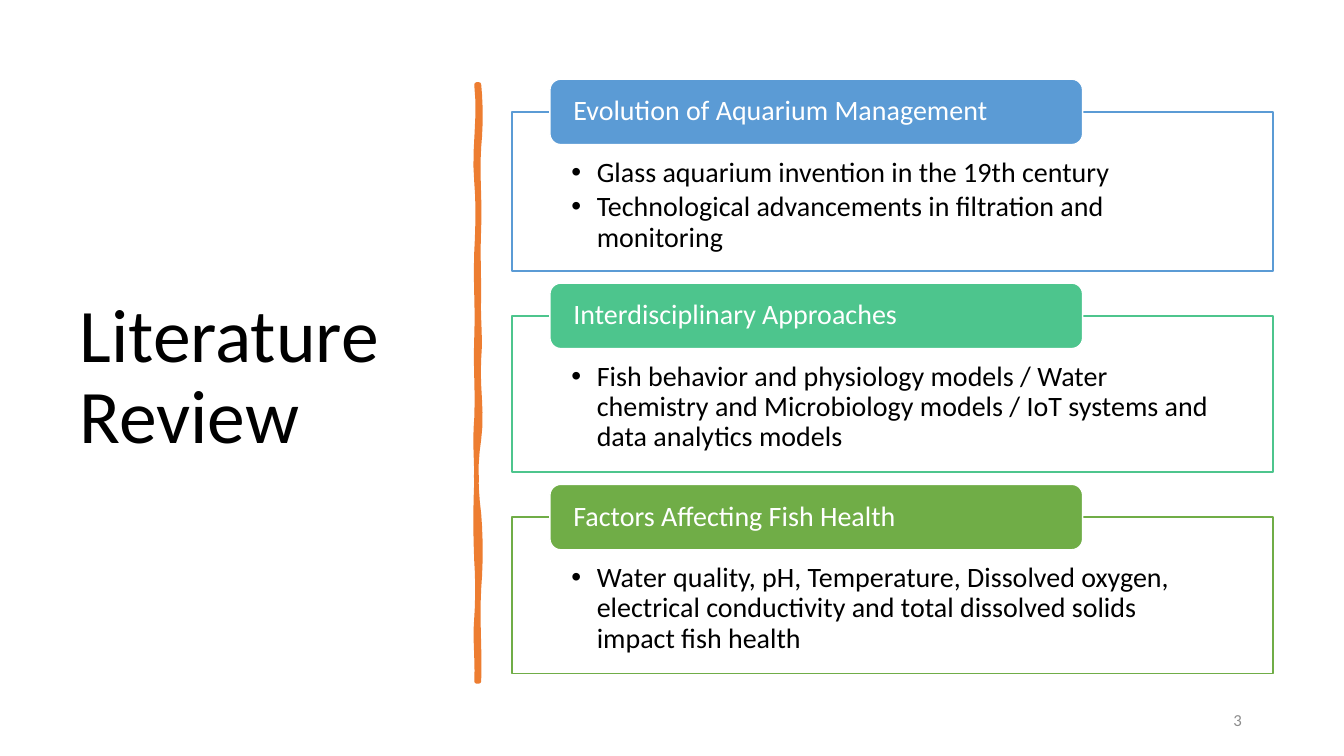
from dataclasses import dataclass

from lxml import etree
from pptx import Presentation
from pptx.dml.color import RGBColor
from pptx.enum.shapes import MSO_SHAPE
from pptx.enum.text import MSO_ANCHOR, PP_ALIGN
from pptx.oxml.ns import qn
from pptx.util import Cm, Pt

RECT, ROUND = MSO_SHAPE.RECTANGLE, MSO_SHAPE.ROUNDED_RECTANGLE
TOP, MIDDLE = MSO_ANCHOR.TOP, MSO_ANCHOR.MIDDLE
LEFT, RIGHT = PP_ALIGN.LEFT, PP_ALIGN.RIGHT


@dataclass(frozen=True)
class Theme:
    """Colours, font and type sizes of the slide."""
    font: str = "Calibri"
    ink: str = "000000"
    paper: str = "FFFFFF"
    muted: str = "8C8C8C"
    accent: str = "ED7D31"
    blue: str = "5B9BD5"
    teal: str = "4DC58D"
    green: str = "70AD47"
    title: int = 54
    body: int = 20
    small: int = 12


THEME = Theme()
PANELS = [
    ("Evolution of Aquarium Management", THEME.blue, 4.01,
     ["Glass aquarium invention in the 19th century",
      "Technological advancements in filtration and monitoring"]),
    ("Interdisciplinary Approaches", THEME.teal, 3.94,
     ["Fish behavior and physiology models / Water chemistry and "
      "Microbiology models / IoT systems and data analytics models"]),
    ("Factors Affecting Fish Health", THEME.green, 3.94,
     ["Water quality, pH, Temperature, Dissolved oxygen, electrical "
      "conductivity and total dissolved solids impact fish health"]),
]
DOWN = [(1.57, .05, .05), (3.61, -.05, .03), (5.33, -.03, 0),
        (6.91, -.03, .05), (8.94, -.05, .1), (10.82, -.1, -.08),
        (12.7, .05, .05), (15.04, -.05, .03)]
UP = [(13.44, .03, -.05), (12.01, .03, .03), (9.98, -.03, -.03),
      (8.41, 0, -.05), (6.38, .03, -.03), (4.22, .03, -.03),
      (2.46, .03, .05), (0, -.08, .1)]


def paint(shape, fill, line, width):
    """Give a shape a flat fill and outline."""
    shape.shadow.inherit = False
    shape.fill.solid()
    shape.fill.fore_color.rgb = RGBColor.from_string(fill)
    shape.line.color.rgb = RGBColor.from_string(line)
    shape.line.width = Pt(width)


def write(shape, lines, size, color, anchor=MIDDLE, align=LEFT, pads=None):
    """Set and format the text of a shape."""
    frame = shape.text_frame
    frame.word_wrap = True
    frame.vertical_anchor = anchor
    if pads:
        (frame.margin_left, frame.margin_top,
         frame.margin_right, frame.margin_bottom) = map(Cm, pads)
    frame.text = "\n".join(lines)
    for para in frame.paragraphs:
        para.alignment = align
        para.line_spacing = 0.9
        for run in para.runs:
            run.font.name = THEME.font
            run.font.size = Pt(size)
            run.font.color.rgb = RGBColor.from_string(color)


def bullet(para):
    """Give a paragraph a round bullet and a hanging indent."""
    para.space_after = Pt(3)
    props = para._p.get_or_add_pPr()
    props.set("marL", str(Cm(0.64)))
    props.set("indent", str(-Cm(0.64)))
    etree.SubElement(props, qn("a:buFont")).set("typeface", "Arial")
    etree.SubElement(props, qn("a:buChar")).set("char", "•")


def heading(slide, x, y, w, h):
    """Place the slide title in its box."""
    title = slide.shapes.title
    title.left, title.top, title.width, title.height = map(Cm, (x, y, w, h))
    write(title, ["Literature Review"], THEME.title, THEME.ink)


def edge(x, y, start, knots):
    """Return points along one wavy side of the divider."""
    points = []
    for end, first, last in knots:
        for step in range(1, 7):
            t = step / 6
            bow = 3 * t * (1 - t) * ((1 - t) * first + t * last)
            points.append((Cm(x + bow), Cm(y + start + t * (end - start))))
        start = end
    return points


def divider(slide, x, y, w):
    """Draw the hand-drawn upright line."""
    pen = slide.shapes.build_freeform(Cm(x + w), Cm(y))
    pen.add_line_segments(edge(x + w, y, 0, DOWN), close=False)
    pen.add_line_segments([(Cm(x), Cm(y + DOWN[-1][0]))], close=False)
    pen.add_line_segments(edge(x, y, DOWN[-1][0], UP), close=True)
    paint(pen.convert_to_shape(), THEME.accent, THEME.accent, 3.25)


def panel(slide, x, y, w, h, label, color, points):
    """Draw a framed list with a tab across its top edge."""
    tab_h = 1.65
    frame = slide.shapes.add_shape(RECT, Cm(x), Cm(y), Cm(w), Cm(h))
    paint(frame, THEME.paper, color, 1)
    write(frame, points, THEME.body, THEME.ink, TOP,
          pads=(1.5, 1.17, 1.5, 0.41))
    for para in frame.text_frame.paragraphs:
        bullet(para)
    tab = slide.shapes.add_shape(ROUND, Cm(x + 0.05 * w), Cm(y - tab_h / 2),
                                 Cm(0.7 * w), Cm(tab_h))
    paint(tab, color, THEME.paper, 1)
    write(tab, [label], THEME.body, THEME.paper, pads=(0.51, 0, 0.51, 0))


def panels(slide, x, y, w, gap):
    """Stack the panels with an equal gap from frame to tab."""
    for label, color, h, points in PANELS:
        panel(slide, x, y, w, h, label, color, points)
        y += h + gap


def number(slide, x, y, w, h):
    """Place the page number."""
    box = slide.shapes.add_textbox(Cm(x), Cm(y), Cm(w), Cm(h))
    write(box, ["3"], THEME.small, THEME.muted, align=RIGHT)


def main():
    """Build and save the slide."""
    deck = Presentation()
    deck.slide_width, deck.slide_height = Cm(33.87), Cm(19.05)
    slide = deck.slides.add_slide(deck.slide_layouts[5])
    heading(slide, 1.75, 1.78, 9.5, 15.52)
    divider(slide, 12.01, 2.13, 0.06)
    panels(slide, 12.9, 2.82, 19.18, 1.13)
    number(slide, 23.93, 17.65, 7.62, 1.02)
    deck.save("out.pptx")


if __name__ == "__main__":
    main()
